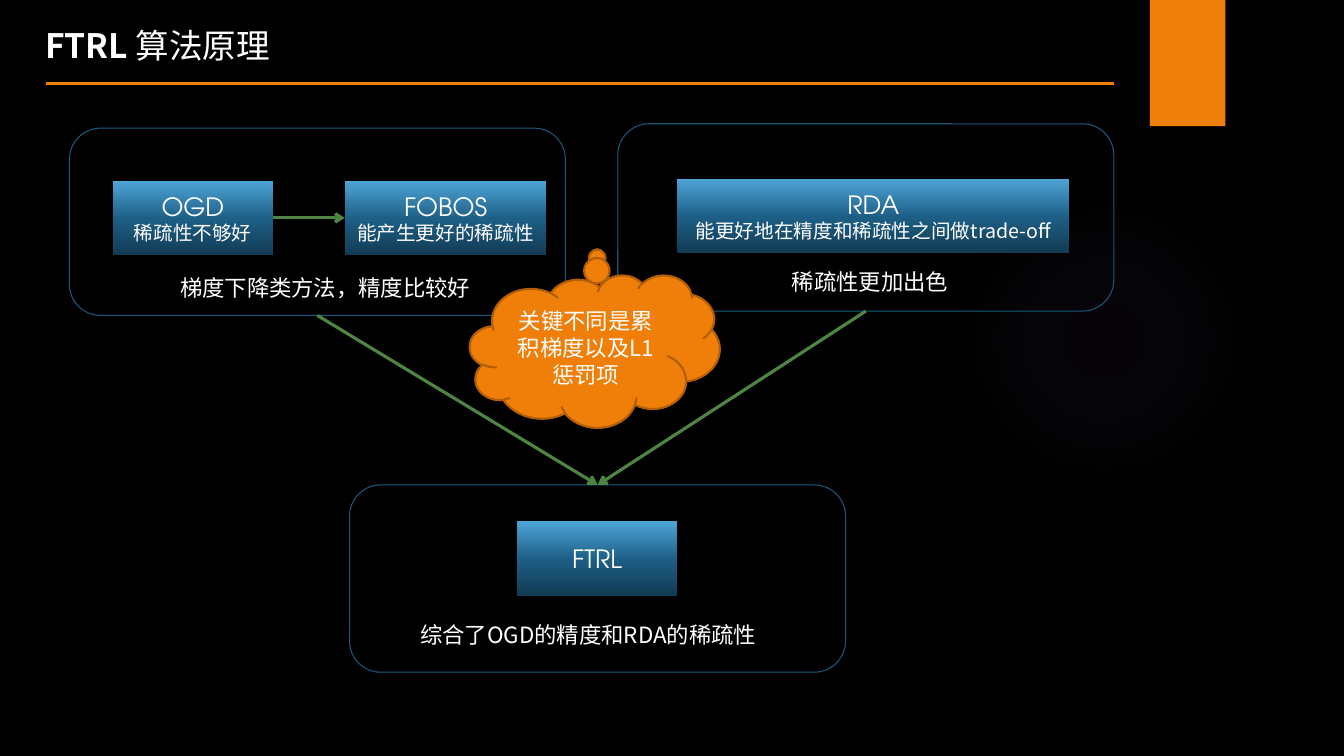
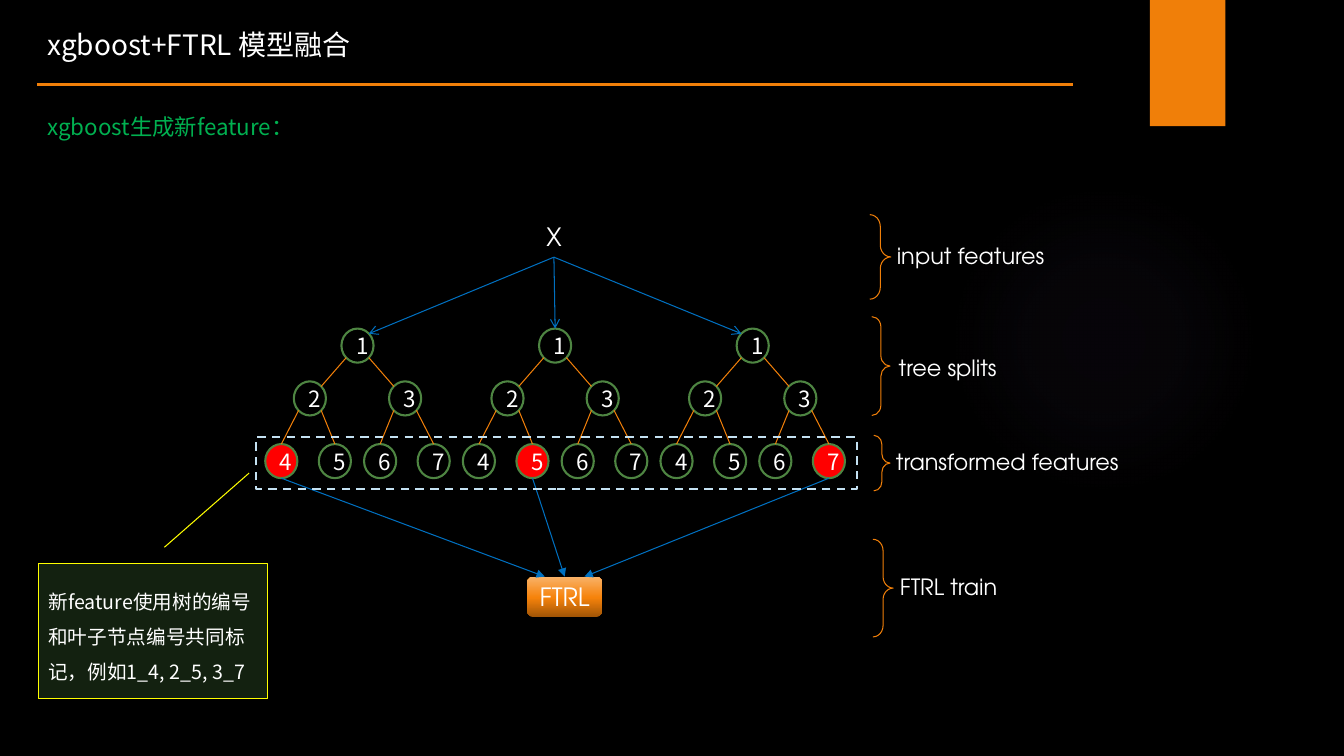
from dataclasses import dataclass

from pptx import Presentation
from pptx.dml.color import RGBColor
from pptx.enum.dml import MSO_LINE
from pptx.enum.shapes import MSO_CONNECTOR, MSO_SHAPE
from pptx.enum.text import MSO_ANCHOR, MSO_AUTO_SIZE, PP_ALIGN
from pptx.oxml import parse_xml
from pptx.oxml.ns import nsdecls, qn
from pptx.oxml.xmlchemy import OxmlElement
from pptx.util import Cm, Pt

RECT, ROUNDED, OVAL = MSO_SHAPE.RECTANGLE, MSO_SHAPE.ROUNDED_RECTANGLE, MSO_SHAPE.OVAL
CLOUD, BRACE, CALLOUT = MSO_SHAPE.CLOUD_CALLOUT, MSO_SHAPE.RIGHT_BRACE, MSO_SHAPE.LINE_CALLOUT_1
STRAIGHT, DASH = MSO_CONNECTOR.STRAIGHT, MSO_LINE.DASH
LEFT, CENTER = PP_ALIGN.LEFT, PP_ALIGN.CENTER
TOP, MIDDLE = MSO_ANCHOR.TOP, MSO_ANCHOR.MIDDLE
GROW, FIXED = MSO_AUTO_SIZE.SHAPE_TO_FIT_TEXT, MSO_AUTO_SIZE.NONE
SITE_TOP, SITE_LEFT, SITE_BOTTOM, SITE_RIGHT = range(4)

HAN, LATIN = "Noto Sans CJK SC", "TeX Gyre Adventor"
UPWARD = '<a:lin ang="16200000" scaled="0"/>'
RADIAL = '<a:path path="circle"><a:fillToRect l="50000" t="50000" r="50000" b="50000"/></a:path>'


@dataclass(frozen=True)
class Theme:
    background: str = "000000"
    orange: str = "F07F09"
    dark_orange: str = "B25E07"
    frame: str = "1B587C"
    green: str = "4E8542"
    blue: str = "0070C0"
    red: str = "FF0000"
    yellow: str = "FFFF00"
    note: str = "274221"
    pale_blue: str = "C4E1F2"
    # Gradient: direction, then (position %, colour, opacity %)
    glow: tuple = (RADIAL, ((0, "604878", 7), (36, "604878", 6), (69, "604878", 0)))
    blue_gradient: tuple = (UPWARD, ((0, "123B53", 100), (48, "1D5E85", 100), (100, "4EA5D8", 100)))
    orange_gradient: tuple = (UPWARD, ((0, "A15506", 100), (48, "F6830B", 100), (100, "F9B268", 100)))
    # Type: font, size, colour
    title: tuple = (HAN, 24, "FFFFFF")
    small_title: tuple = (HAN, 20, "FFFFFF")
    heading: tuple = (HAN, 16, "00B050")
    body: tuple = (HAN, 16, "FFFFFF")
    detail: tuple = (HAN, 14, "FFFFFF")
    name: tuple = (LATIN, 18, "FFFFFF")
    label: tuple = (LATIN, 16, "FFFFFF")


THEME = Theme()


def add_box(page, kind, at, texts=(), fill=None, line=None, width=0.75, align=CENTER):
    """Add a preset shape, or a growing text box if kind is None; texts are (text, type) pairs."""
    lengths = [Cm(value) for value in at]
    if kind is None:
        box = page.shapes.add_textbox(*lengths)
    else:
        box = page.shapes.add_shape(kind, *lengths)
        box.shadow.inherit = False
        box.fill.background()
        if isinstance(fill, str):
            box.fill.solid()
            box.fill.fore_color.rgb = RGBColor.from_string(fill)
        elif fill:
            direction, stops = fill
            stops_xml = "".join(
                f'<a:gs pos="{position * 1000}"><a:srgbClr val="{color}">'
                f'<a:alpha val="{opacity * 1000}"/></a:srgbClr></a:gs>'
                for position, color, opacity in stops)
            properties = box._element.spPr
            properties.replace(properties.find(qn("a:noFill")), parse_xml(
                f'<a:gradFill {nsdecls("a")} rotWithShape="1"><a:gsLst>{stops_xml}</a:gsLst>'
                f'{direction}</a:gradFill>'))
        if line:
            box.line.color.rgb = RGBColor.from_string(line)
            box.line.width = Pt(width)
        else:
            box.line.fill.background()
    frame = box.text_frame
    frame.word_wrap = True
    frame.auto_size = FIXED if kind else GROW
    frame.vertical_anchor = MIDDLE if kind else TOP
    for index, (text, (font, size, color)) in enumerate(texts):
        para = frame.add_paragraph() if index else frame.paragraphs[0]
        para.add_run().text = text
        para.alignment = align
        para.font.size = Pt(size)
        para.font.color.rgb = RGBColor.from_string(color)
        para.font.name = font
        east_asian = OxmlElement("a:ea")
        east_asian.set("typeface", font)
        para._p.pPr.find(qn("a:defRPr")).append(east_asian)
    return box


def add_line(page, start, end, color, width=0.75, head=None):
    points = [Cm(value) for value in (*start, *end)]
    line = page.shapes.add_connector(STRAIGHT, *points)
    line.line.color.rgb = RGBColor.from_string(color)
    line.line.width = Pt(width)
    properties = line._element.spPr
    if head:
        tail = OxmlElement("a:tailEnd")
        tail.set("type", head)
        properties.find(qn("a:ln")).append(tail)
    properties.append(OxmlElement("a:effectLst"))
    return line


deck = Presentation()
deck.slide_width, deck.slide_height = Cm(33.87), Cm(19.05)
backdrop = deck.slide_master.background.fill
backdrop.solid()
backdrop.fore_color.rgb = RGBColor.from_string(THEME.background)
blank = deck.slide_layouts[6]
for placeholder in list(blank.placeholders):
    placeholder._element.getparent().remove(placeholder._element)
principle, fusion = [deck.slides.add_slide(blank) for _ in range(2)]

# The glow and the bookmark belong to the layout, so both slides show them
for decoration in (
    add_box(principle, OVAL, (23.9, 4.65, 7.82, 7.82), fill=THEME.glow),
    add_box(principle, RECT, (28.98, 0, 1.9, 3.18), fill=THEME.orange),
):
    blank.shapes._spTree.append(decoration._element)

titles = []
for page, at, text, style, rule_left, rule_right, rule_top in (
    (principle, (0.89, 0.51, 10.64, 1.27), "FTRL ", THEME.title, 1.17, 28.07, 2.11),
    (fusion, (0.94, 0.56, 12.24, 1.12), "xgboost+FTRL 模型融合", THEME.small_title, 0.94, 27.03, 2.13),
):
    titles.append(add_box(page, None, at, [(text, style)], align=LEFT))
    add_line(page, (rule_left, rule_top), (rule_right, rule_top), THEME.orange, 2.25)

# Slide 1: where FTRL comes from
title_para = titles[0].text_frame.paragraphs[0]
title_para.runs[0].font.bold = True
title_para.add_run().text = "算法原理"

descent_frame, dual_frame, ftrl_frame = [
    add_box(principle, ROUNDED, (left, top, 12.5, 4.72), line=THEME.frame)
    for left, top in ((1.75, 3.23), (15.57, 3.12), (8.81, 12.22))
]
methods = {}
for method, remark, left, top, width in (
    ("OGD", "稀疏性不够好", 2.84, 4.55, 4.04),
    ("FOBOS", "能产生更好的稀疏性", 8.69, 4.55, 5.08),
    ("RDA", "能更好地在精度和稀疏性之间做trade-off", 17.07, 4.5, 9.88),
    ("FTRL", None, 13.03, 13.13, 4.04),
):
    texts = [(method, THEME.name)]
    if remark:
        texts.append((remark, THEME.detail))
    methods[method] = add_box(principle, RECT, (left, top, width, 1.88), texts, THEME.blue_gradient)

for source, source_site, target, target_site in (
    (methods["OGD"], SITE_RIGHT, methods["FOBOS"], SITE_LEFT),
    (descent_frame, SITE_BOTTOM, ftrl_frame, SITE_TOP),
    (dual_frame, SITE_BOTTOM, ftrl_frame, SITE_TOP),
):
    arrow = add_line(principle, (0, 0), (0, 0), THEME.green, 2.25, "arrow")
    arrow.begin_connect(source, source_site)
    arrow.end_connect(target, target_site)

for text, left, top, width in (
    ("梯度下降类方法，精度比较好", 4.29, 6.78, 8.43),
    ("稀疏性更加出色", 19.71, 6.63, 4.57),
    ("综合了OGD的精度和RDA的稀疏性", 10.34, 15.52, 9.42),
):
    add_box(principle, None, (left, top, width, 0.94), [(text, THEME.body)], align=LEFT)

cloud = add_box(principle, CLOUD, (11.84, 6.93, 6.3, 3.84),
                [("关键不同是累积梯度以及L1惩罚项", THEME.body)], THEME.orange, THEME.dark_orange, 1.5)
cloud.adjustments[0], cloud.adjustments[1] = 0.01, -0.64

# Slide 2: tree leaves become features for FTRL
add_box(fusion, None, (0.94, 2.72, 6.98, 0.94), [("xgboost生成新feature：", THEME.heading)], align=LEFT)
input_box = add_box(fusion, None, (13.39, 5.46, 1.14, 1.02), [("X", THEME.name)])
train_left, train_top, train_width = 13.28, 14.53, 1.9
train_box = add_box(fusion, ROUNDED, (train_left, train_top, train_width, 1.02),
                    [("FTRL", THEME.name)], THEME.orange_gradient)

NODE_WIDTH, NODE_HEIGHT = 0.81, 0.86
DIAGONAL_X, DIAGONAL_Y = NODE_WIDTH * 0.35, NODE_HEIGHT * 0.35
FIRST_ROOT, TREE_STEP = 9.01, 4.98
# Node number: centre relative to the root, centre height
NODES = {1: (0, 8.71), 2: (-1.2, 10.04), 3: (1.2, 10.04),
         4: (-1.92, 11.62), 5: (-0.57, 11.62), 6: (0.57, 11.62), 7: (1.92, 11.62)}

for tree, chosen_leaf in enumerate((4, 5, 7)):
    root_x = FIRST_ROOT + tree * TREE_STEP
    for number, (offset, y) in NODES.items():
        x = root_x + offset
        add_box(fusion, OVAL, (x - NODE_WIDTH / 2, y - NODE_HEIGHT / 2, NODE_WIDTH, NODE_HEIGHT),
                [(str(number), THEME.body)], THEME.red if number == chosen_leaf else None,
                THEME.green, 1.5)
        if number > 1:
            parent_offset, parent_y = NODES[number // 2]
            side = 1 if number % 2 else -1
            start = (root_x + parent_offset + side * DIAGONAL_X, parent_y + DIAGONAL_Y)
            if number < 4:
                end = (x - side * DIAGONAL_X, y - DIAGONAL_Y)
            else:
                end = (x, y - NODE_HEIGHT / 2)
            add_line(fusion, start, end, THEME.orange)

    # The outer trees meet the arrows on their inner side
    side = tree - 1
    root_y = NODES[1][1]
    rise = DIAGONAL_Y if side else NODE_HEIGHT / 2
    arrow = add_line(fusion, (0, 0), (root_x - side * DIAGONAL_X, root_y - rise), THEME.blue, head="arrow")
    arrow.begin_connect(input_box, SITE_BOTTOM)

    leaf_offset, leaf_y = NODES[chosen_leaf]
    arrow = add_line(fusion, (root_x + leaf_offset, leaf_y + NODE_HEIGHT / 2),
                     (train_left + train_width / 2 + side * 0.5, train_top), THEME.blue, head="triangle")
    if side == 0:
        arrow.end_connect(train_box, SITE_TOP)

leaf_band = add_box(fusion, RECT, (6.45, 11.02, 15.14, 1.3), line=THEME.pale_blue, width=1.5)
leaf_band.line.dash_style = DASH

for text, text_at, brace_at in (
    ("input features", (22.35, 5.97), (21.92, 5.41, 0.53, 2.13)),
    ("tree splits", (22.4, 8.79), (21.97, 7.98, 0.46, 2.49)),
    ("transformed features", (22.33, 11.18), (22.02, 10.97, 0.41, 1.4)),
    ("FTRL train", (22.43, 14.33), (22, 13.59, 0.51, 2.46)),
):
    add_box(fusion, None, (*text_at, 7.47, 0.94), [(text, THEME.label)], align=LEFT)
    brace = add_box(fusion, BRACE, brace_at, line=THEME.orange)
    brace.adjustments[0] = 0.56

note = add_box(fusion, CALLOUT, (0.97, 14.2, 5.77, 3.4),
               [("新feature使用树的编号和叶子节点编号共同标记，例如1_4, 2_5, 3_7", THEME.detail)],
               THEME.note, THEME.yellow, align=LEFT)
note.text_frame.paragraphs[0].line_spacing = 1.5
for index, value in enumerate((-0.12, 0.55, -0.67, 0.92)):
    note.adjustments[index] = value
opacity = OxmlElement("a:alpha")
opacity.set("val", "50000")
note._element.spPr.find(qn("a:solidFill"))[0].append(opacity)

deck.save("out.pptx")
